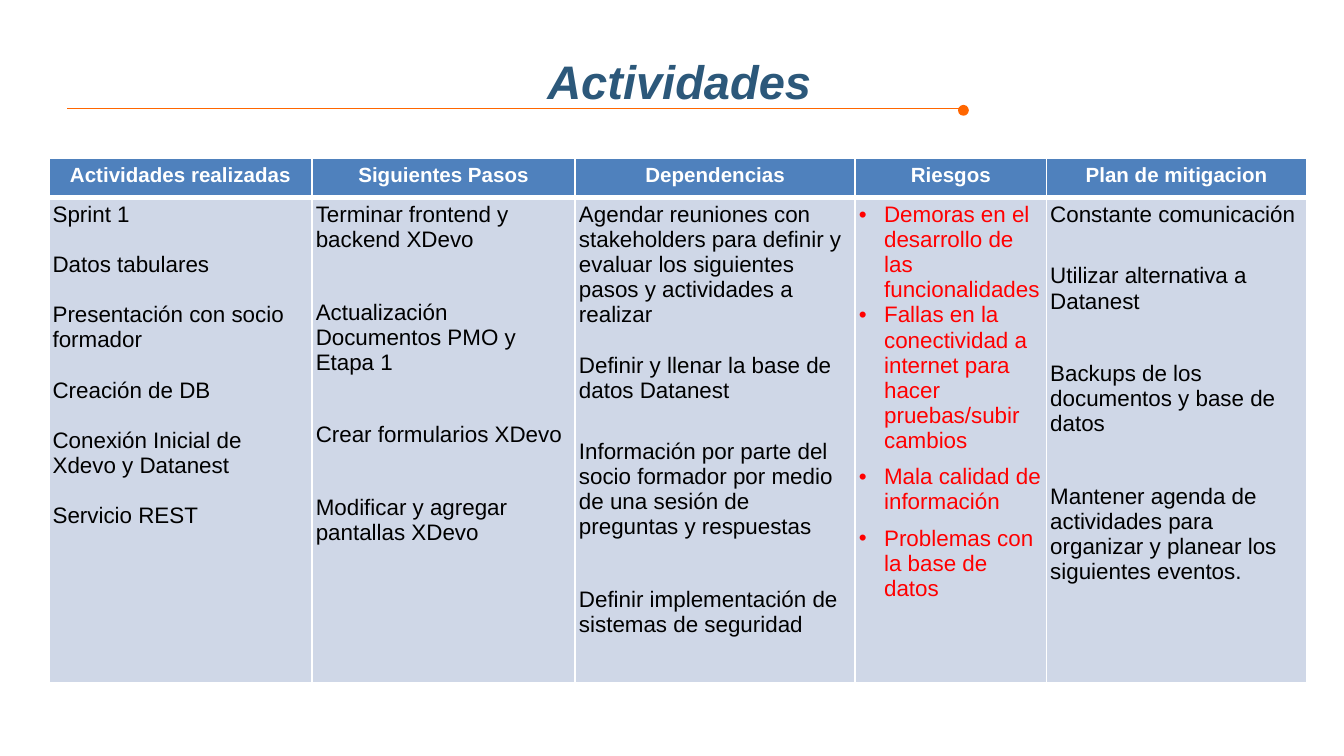
import pptx
import pptx.util
import pptx.dml.color
import pptx.enum.shapes
import pptx.enum.text
import pptx.oxml
import pptx.oxml.ns

Pt = pptx.util.Pt
ALIGN = pptx.enum.text.PP_ALIGN
NAMESPACE = pptx.oxml.ns.nsdecls("a")
COLORS = {"accent": "FF6600", "title": "2C587A", "header": "4F81BD",
          "body": "CFD7E7", "white": "FFFFFF", "text": "000000", "risk": "FF0000"}


def rgb(name):
    return pptx.dml.color.RGBColor.from_string(COLORS[name])


def style_paragraph(paragraph, size, color, bold=False, italic=False):
    for run in paragraph.runs:
        run.font.name = "Arial"
        run.font.size = Pt(size)
        run.font.bold = bold
        run.font.italic = italic
        run.font.color.rgb = rgb(color)


presentation = pptx.Presentation()
presentation.slide_width = Pt(720)
presentation.slide_height = Pt(405)
slide = presentation.slides.add_slide(presentation.slide_layouts[5])

# Rule with end dot
rule = slide.shapes.add_connector(
    pptx.enum.shapes.MSO_CONNECTOR.STRAIGHT, Pt(36), Pt(58.3), Pt(516), Pt(58.3))
rule.line.color.rgb = rgb("accent")
rule.line.width = Pt(0.75)
rule._element.spPr.append(pptx.oxml.parse_xml(f"<a:effectLst {NAMESPACE}/>"))
dot = slide.shapes.add_shape(
    pptx.enum.shapes.MSO_SHAPE.OVAL, Pt(513.2), Pt(56.2), Pt(5.8), Pt(5.8))
dot.shadow.inherit = False
dot.fill.solid()
dot.fill.fore_color.rgb = rgb("accent")
dot.line.fill.background()

# Title
title = slide.shapes.title
title.left, title.top, title.width, title.height = Pt(286), Pt(26.8), Pt(229), Pt(33)
title.text_frame.text = "Actividades"
title.text_frame.vertical_anchor = pptx.enum.text.MSO_ANCHOR.MIDDLE
title.text_frame.paragraphs[0].alignment = ALIGN.LEFT
style_paragraph(title.text_frame.paragraphs[0], 25.2, "title", bold=True, italic=True)

# Columns: heading, width, then items with the space before each
LINE_GAP, MEDIUM_GAP, WIDE_GAP = 13.4, 19.4, 25.4
columns = [
    ("Actividades realizadas", 141, [
        ("Sprint 1", 0),
        ("Datos tabulares", LINE_GAP),
        ("Presentación con socio formador", LINE_GAP),
        ("Creación de DB", LINE_GAP),
        ("Conexión Inicial de Xdevo y Datanest", LINE_GAP),
        ("Servicio REST", LINE_GAP)]),
    ("Siguientes Pasos", 141, [
        ("Terminar frontend y backend XDevo", 0),
        ("Actualización Documentos PMO y Etapa 1", WIDE_GAP),
        ("Crear formularios XDevo", WIDE_GAP),
        ("Modificar y agregar pantallas XDevo", WIDE_GAP)]),
    ("Dependencias", 150, [
        ("Agendar reuniones con stakeholders para definir y evaluar los "
         "siguientes pasos y actividades a realizar", 0),
        ("Definir y llenar la base de datos Datanest", LINE_GAP),
        ("Información por parte del socio formador por medio de una sesión de "
         "preguntas y respuestas", MEDIUM_GAP),
        ("Definir implementación de sistemas de seguridad", WIDE_GAP)]),
    ("Riesgos", 102.5, [
        ("Demoras en el desarrollo de las funcionalidades", 0),
        ("Fallas en la conectividad a internet para hacer pruebas/subir cambios", 0),
        ("Mala calidad de información", 6),
        ("Problemas con la base de datos", 6)]),
    ("Plan de mitigacion", 139.5, [
        ("Constante comunicación", 0),
        ("Utilizar alternativa a Datanest", MEDIUM_GAP),
        ("Backups de los documentos y base de datos", WIDE_GAP),
        ("Mantener agenda de actividades para organizar y planear los "
         "siguientes eventos.", WIDE_GAP)]),
]

# Table
row_heights = [20.8, 260]
table = slide.shapes.add_table(
    2, len(columns), Pt(26.2), Pt(85), Pt(sum(width for _, width, _ in columns)),
    Pt(sum(row_heights))).table
for row, height in zip(table.rows, row_heights):
    row.height = Pt(height)

for index, (heading, width, items) in enumerate(columns):
    table.columns[index].width = Pt(width)
    header, body = table.cell(0, index), table.cell(1, index)

    # Fill, margins and borders
    for cell, fill, margin in [(header, "header", 5), (body, "body", 2)]:
        cell.fill.solid()
        cell.fill.fore_color.rgb = rgb(fill)
        cell.margin_left = cell.margin_right = Pt(margin)
        cell.margin_top = cell.margin_bottom = Pt(2.6)
        for position, side in enumerate(["lnL", "lnR", "lnT", "lnB"]):
            between_rows = (cell is header and side == "lnB") or (cell is body and side == "lnT")
            border = Pt(3 if between_rows else 1)
            cell._tc.get_or_add_tcPr().insert(position, pptx.oxml.parse_xml(
                f'<a:{side} {NAMESPACE} w="{border}"><a:solidFill>'
                f'<a:srgbClr val="{COLORS["white"]}"/></a:solidFill></a:{side}>'))

    # Heading
    header.text_frame.text = heading
    header.text_frame.paragraphs[0].alignment = ALIGN.CENTER
    style_paragraph(header.text_frame.paragraphs[0], 11, "white", bold=True)

    # Items, bulleted in red for the risks
    is_risk = heading == "Riesgos"
    body.text_frame.text = "\n".join(text for text, _ in items)
    for paragraph, (_, gap) in zip(body.text_frame.paragraphs, items):
        paragraph.space_before = Pt(gap)
        style_paragraph(paragraph, 12, "risk" if is_risk else "text")
        if is_risk:
            properties = paragraph._p.get_or_add_pPr()
            properties.set("marL", str(Pt(13.5)))
            properties.set("indent", str(-Pt(13.5)))
            for bullet in [f'<a:buClr {NAMESPACE}><a:srgbClr val="{COLORS["risk"]}"/></a:buClr>',
                           f'<a:buFont {NAMESPACE} typeface="Arial"/>',
                           f'<a:buChar {NAMESPACE} char="•"/>']:
                properties.append(pptx.oxml.parse_xml(bullet))

presentation.save("out.pptx")
